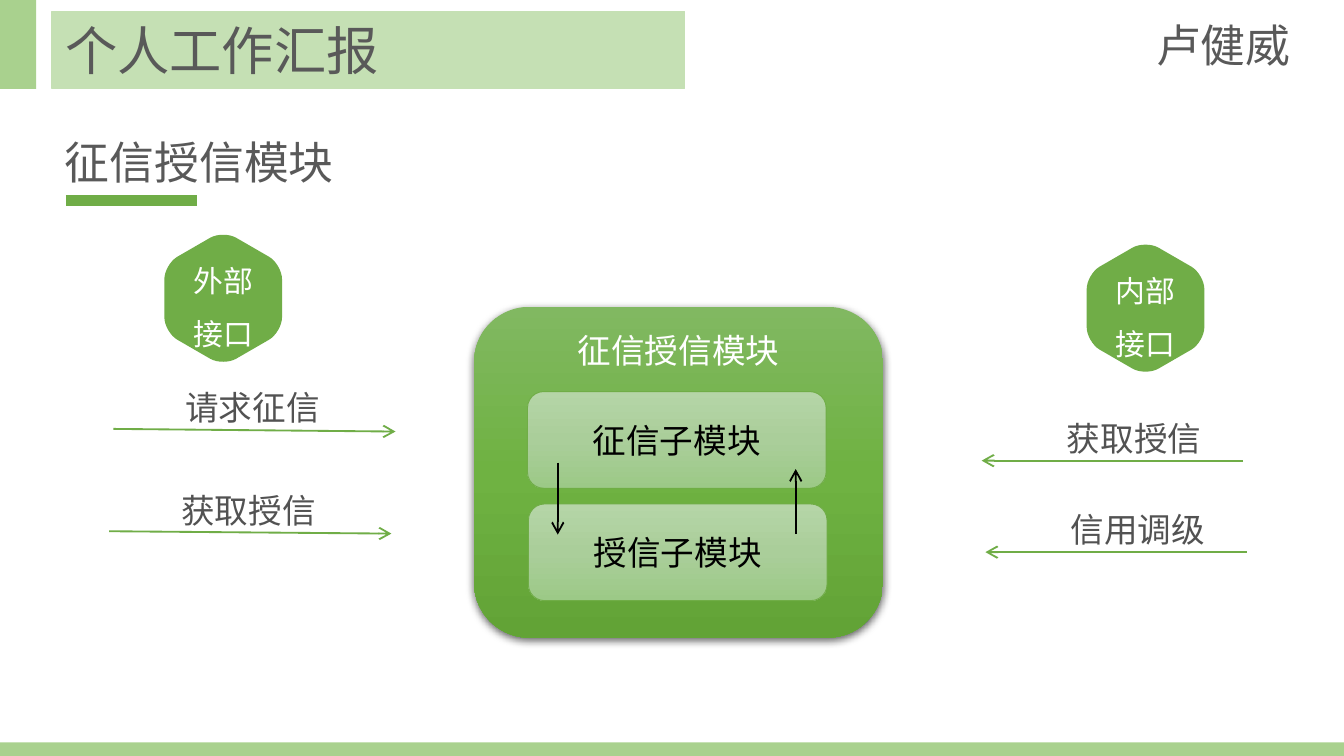
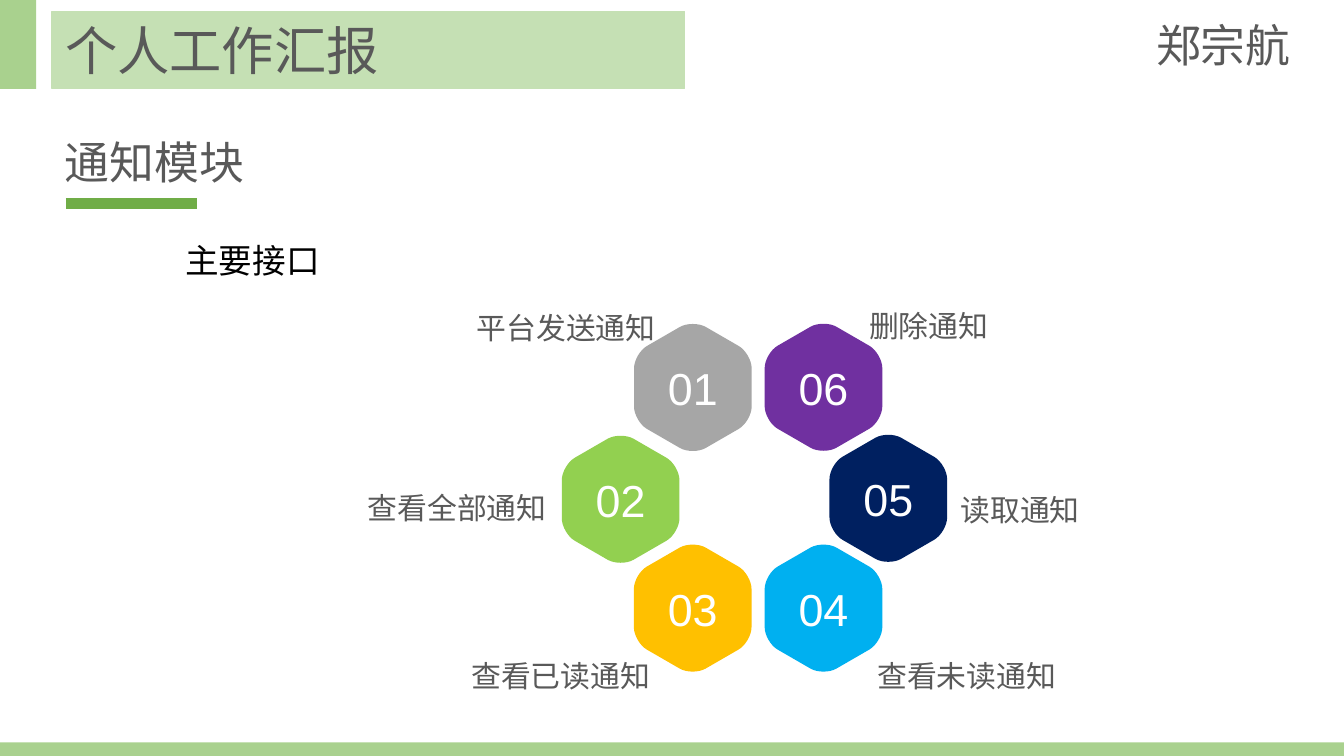
from math import cos, radians, sin

from lxml.etree import SubElement
from pptx import Presentation
from pptx.dml.color import RGBColor
from pptx.enum.shapes import MSO_CONNECTOR, MSO_SHAPE
from pptx.enum.text import MSO_ANCHOR, PP_ALIGN
from pptx.oxml import parse_xml
from pptx.oxml.ns import nsdecls, qn
from pptx.util import Pt

WIDE, HIGH = 720, 405
BAND, PALE, GREEN = "A9D18E", "C5E0B4", "70AD47"
GRAY, DARK, WHITE, BLACK = "595959", "525252", "FFFFFF", "000000"
DEEP = ("81B861", "6FB242", "62A336")
SOFT = ("B5D5A7", "AACE9A", "9CC987")
CJK = "Noto Sans CJK SC"

# label, its left and top, start and end of the arrow
CALLS = [
    ("请求征信", 92.2, 203.8, (60.7, 229.8), (211.9, 231.2)),
    ("获取授信", 90, 258.8, (58.5, 284.6), (209.7, 285.9)),
    ("获取授信", 564.5, 220.5, (666, 246.8), (525.9, 246.8)),
    ("信用调级", 566.4, 269.3, (668, 295.8), (527.9, 295.8)),
]

# centre of hexagon, colour, label, left and top of label
NOTICES = [
    ((371.2, 207.6), "A6A6A6", "平台发送通知", 248.4, 152.6),
    ((332.5, 267.5), "92D050", "查看全部通知", 190, 249.1),
    ((371.1, 325.8), "FFC000", "查看已读通知", 245.5, 339.1),
    ((441.2, 325.8), "00B0F0", "查看未读通知", 463, 339.1),
    ((475.9, 267), "002060", "读取通知", 507.6, 250.2),
    ((441.2, 207.5), "7030A0", "删除通知", 458.6, 151.9),
]


def color(value):
    return RGBColor.from_string(value)


def write(shape, text, size, tint, font="Calibri", align=PP_ALIGN.LEFT,
          anchor=MSO_ANCHOR.TOP, space=None, wrap=True, inset=None):
    frame = shape.text_frame
    frame.text = text
    frame.word_wrap = wrap
    frame.vertical_anchor = anchor
    if inset is not None:
        frame.margin_left = frame.margin_right = Pt(inset)
        frame.margin_top = frame.margin_bottom = Pt(inset)
    for para in frame.paragraphs:
        para.alignment = align
        if space:
            para.line_spacing = space
        para.font.name = font
        para.font.size = Pt(size)
        para.font.color.rgb = color(tint)


def label(slide, text, left, top, width, height, size, tint, **style):
    box = slide.shapes.add_textbox(Pt(left), Pt(top), Pt(width), Pt(height))
    write(box, text, size, tint, **style)


def block(slide, kind, left, top, width, height):
    shape = slide.shapes.add_shape(kind, Pt(left), Pt(top), Pt(width), Pt(height))
    shape.shadow.inherit = False
    shape.line.fill.background()
    return shape


def paint(shape, fill):
    shape.fill.solid()
    shape.fill.fore_color.rgb = color(fill)


def bar(slide, fill, *place):
    shape = block(slide, MSO_SHAPE.RECTANGLE, *place)
    paint(shape, fill)
    return shape


def outline(shape, tint, width):
    shape.line.color.rgb = color(tint)
    shape.line.width = Pt(width)


def panel(slide, stops, *place):
    """Rounded rectangle shaded from top to bottom in three stops."""
    shape = block(slide, MSO_SHAPE.ROUNDED_RECTANGLE, *place)
    steps = "".join(f'<a:gs pos="{i * 50000}"><a:srgbClr val="{stop}"/></a:gs>'
                    for i, stop in enumerate(stops))
    grad = parse_xml(f'<a:gradFill {nsdecls("a")} rotWithShape="1"><a:gsLst>{steps}'
                     '</a:gsLst><a:lin ang="5400000" scaled="0"/></a:gradFill>')
    shape._element.spPr.find(qn("a:prstGeom")).addnext(grad)
    return shape


def shade(shape):
    """Soft shadow straight below the shape."""
    effects = shape._element.spPr.find(qn("a:effectLst"))
    effects.append(parse_xml(
        f'<a:outerShdw {nsdecls("a")} blurRad="{Pt(4.5)}" dist="{Pt(1.5)}" '
        'dir="5400000" algn="ctr" rotWithShape="0"><a:srgbClr val="000000">'
        '<a:alpha val="63000"/></a:srgbClr></a:outerShdw>'))


def line(slide, start, end, tint=GREEN, width=1, head=True):
    link = slide.shapes.add_connector(
        MSO_CONNECTOR.STRAIGHT, *map(Pt, start), *map(Pt, end))
    outline(link, tint, width)
    if head:
        SubElement(link.line._get_or_add_ln(), qn("a:tailEnd"), type="arrow")
    SubElement(link._element.spPr, qn("a:effectLst"))


def corner(x, y, turn, side=36.4, cut=8, grip=3.7):
    """Start, two handles and end of one rounded hexagon corner."""
    tip = x + side * cos(radians(turn)), y + side * sin(radians(turn))
    for way, far in ((-120, cut), (-120, grip), (120, grip), (120, cut)):
        angle = radians(turn + way)
        yield Pt(tip[0] + far * cos(angle)), Pt(tip[1] + far * sin(angle))


def bend(shape):
    """Turn the first three of every four line segments into one curve."""
    lines = list(shape._element.iter(qn("a:lnTo")))
    for i in range(0, len(lines), 4):
        trio = lines[i:i + 3]
        curve = parse_xml(f'<a:cubicBezTo {nsdecls("a")}/>')
        trio[0].addprevious(curve)
        for part in trio:
            curve.append(part[0])
            part.getparent().remove(part)


def hexagon(slide, center, fill, text, size, **style):
    points = [p for turn in range(-150, 210, 60) for p in corner(*center, turn)]
    draft = slide.shapes.build_freeform(*points[0])
    draft.add_line_segments(points[1:], close=True)
    shape = draft.convert_to_shape()
    bend(shape)
    shape.shadow.inherit = False
    paint(shape, fill)
    shape.line.fill.background()
    write(shape, text, size, WHITE, align=PP_ALIGN.CENTER,
          anchor=MSO_ANCHOR.MIDDLE, inset=0, **style)


def page(deck, topic, person, rule):
    """Slide with bands, report title, topic with its rule, and person."""
    slide = deck.slides.add_slide(deck.slide_layouts[6])
    bar(slide, BAND, 0, 0, 19.4, 47.7)
    bar(slide, BAND, 0, 397.7, WIDE, 7.3)
    title = bar(slide, PALE, 27.9, 6.2, 339, 41.2)
    outline(title, PALE, 0.75)
    write(title, "个人工作汇报", 28, GRAY, font=CJK)
    label(slide, topic, 27.7, 68.4, 556.6, 36, 24, GRAY, font="Arial")
    line(slide, (35.3, rule), (105.6, rule), width=6, head=False)
    label(slide, person, 612.3, 5.8, 87.1, 36, 24, GRAY, font="Arial")
    return slide


def credit(deck):
    slide = page(deck, "征信授信模块", "卢健威", 107.3)
    outer = panel(slide, DEEP, 254, 164.4, 219, 177.2)
    shade(outer)
    write(outer, "征信授信模块", 18, WHITE, align=PP_ALIGN.CENTER)
    for text, center in (("外部\n接口", (119.6, 159.8)),
                         ("内部\n接口", (613.7, 165.1))):
        hexagon(slide, center, GREEN, text, 16, space=1.5)
    for text, left, top, start, end in CALLS:
        line(slide, start, end)
        label(slide, text, left, top, 87.1, 28.8, 18, DARK, wrap=False)
    for text, left, top in (("授信子模块", 283.1, 270), ("征信子模块", 282.6, 209.8)):
        inner = panel(slide, SOFT, left, top, 160, 51.8)
        outline(inner, GREEN, 0.5)
        write(inner, text, 18, BLACK, align=PP_ALIGN.CENTER,
              anchor=MSO_ANCHOR.MIDDLE)
    line(slide, (298.8, 247.9), (298.8, 286.4), BLACK)
    line(slide, (426.3, 286.2), (426.3, 251.3), BLACK)


def notice(deck):
    slide = page(deck, "通知模块", "郑宗航", 109)
    for number, (center, fill, text, left, top) in enumerate(NOTICES, 1):
        hexagon(slide, center, fill, f"{number:02}", 24, font="Arial")
        label(slide, text, left, top, 127.4, 33.1, 16, GRAY, space=1.5)
    label(slide, "主要接口", 92.2, 125, 87.1, 28.8, 18, BLACK, wrap=False)


def main():
    deck = Presentation()
    deck.slide_width, deck.slide_height = Pt(WIDE), Pt(HIGH)
    credit(deck)
    notice(deck)
    deck.save("out.pptx")


if __name__ == "__main__":
    main()
